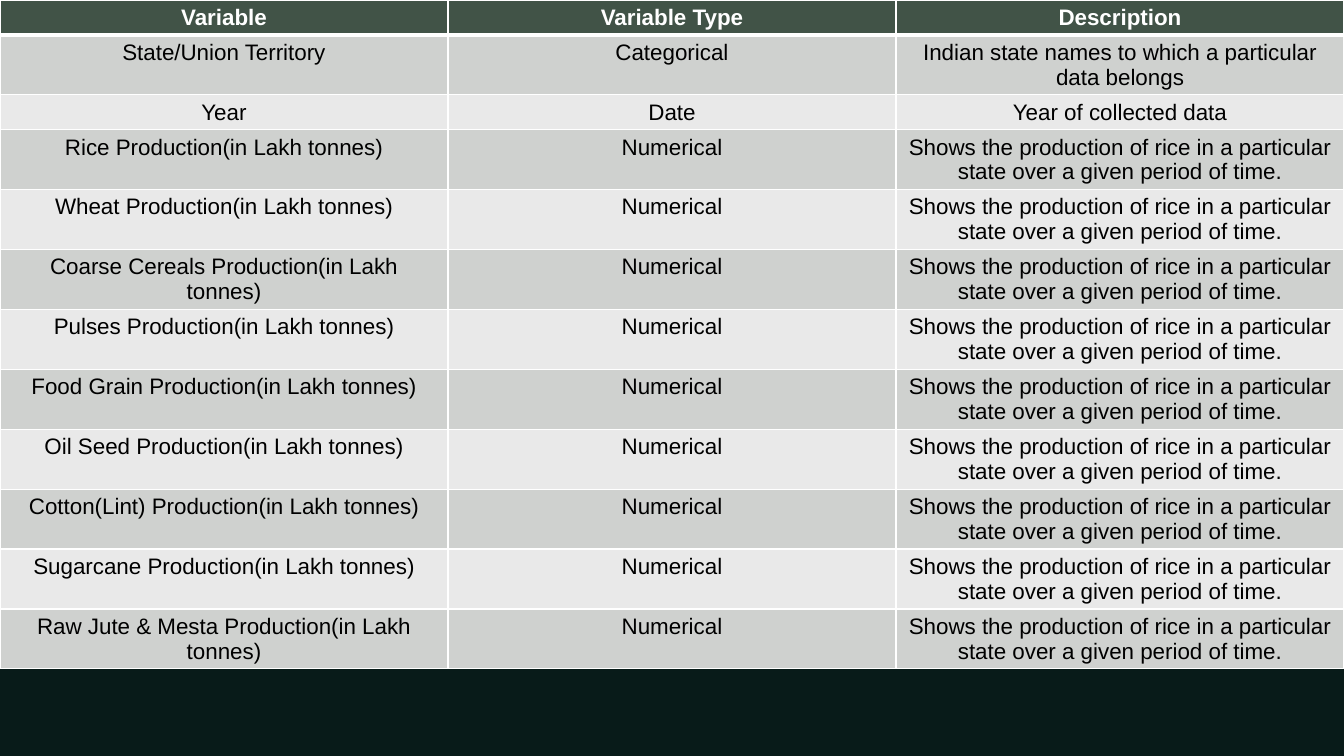
from typing import NamedTuple

import lxml.etree
import pptx
import pptx.dml.color
import pptx.enum.text
import pptx.oxml.ns
import pptx.table
import pptx.util

Inches = pptx.util.Inches
Pt = pptx.util.Pt
RGBColor = pptx.dml.color.RGBColor
qn = pptx.oxml.ns.qn

BACKGROUND = RGBColor(0x08, 0x1B, 0x19)
HEADER_GREEN = RGBColor(0x41, 0x53, 0x47)
BAND_DARK = RGBColor(0xCF, 0xD1, 0xCF)
BAND_LIGHT = RGBColor(0xE9, 0xE9, 0xE9)
WHITE = RGBColor(0xFF, 0xFF, 0xFF)
BLACK = RGBColor(0x00, 0x00, 0x00)

SLIDE_WIDTH = 13.33
SLIDE_HEIGHT = 7.5
TABLE_HEIGHT = 7.07
SHORT_ROW = 0.32
TALL_ROW = 0.55
SHORT_ROW_COUNT = 3
THIN = 1
THICK = 3


class Variable(NamedTuple):
    name: str
    kind: str
    description: str


class RowStyle(NamedTuple):
    fill: RGBColor
    color: RGBColor
    bold: bool
    top: float
    bottom: float


HEADER = Variable("Variable", "Variable Type", "Description")
CROPS = [
    "Rice", "Wheat", "Coarse Cereals", "Pulses", "Food Grain",
    "Oil Seed", "Cotton(Lint)", "Sugarcane", "Raw Jute & Mesta",
]
VARIABLES = [
    Variable("State/Union Territory", "Categorical",
             "Indian state names to which a particular data belongs"),
    Variable("Year", "Date", "Year of collected data"),
] + [
    Variable(f"{crop} Production(in Lakh tonnes)", "Numerical",
             "Shows the production of rice in a particular state "
             "over a given period of time.")
    for crop in CROPS
]


def row_style(index: int) -> RowStyle:
    if index == 0:
        return RowStyle(HEADER_GREEN, WHITE, True, THIN, THICK)
    band = BAND_DARK if index % 2 else BAND_LIGHT
    return RowStyle(band, BLACK, False, THICK if index == 1 else THIN, THIN)


def set_borders(cell: pptx.table._Cell, top: float, bottom: float) -> None:
    """Draw white borders; the side borders are always thin."""
    props = cell._tc.get_or_add_tcPr()
    widths = {"a:lnL": THIN, "a:lnR": THIN, "a:lnT": top, "a:lnB": bottom}
    for position, (tag, width) in enumerate(widths.items()):
        line = lxml.etree.Element(qn(tag), w=str(Pt(width)))
        fill = lxml.etree.SubElement(line, qn("a:solidFill"))
        lxml.etree.SubElement(fill, qn("a:srgbClr"), val=str(WHITE))
        props.insert(position, line)


def fill_cell(cell: pptx.table._Cell, text: str, style: RowStyle) -> None:
    cell.fill.solid()
    cell.fill.fore_color.rgb = style.fill
    set_borders(cell, style.top, style.bottom)
    p = cell.text_frame.paragraphs[0]
    p.alignment = pptx.enum.text.PP_ALIGN.CENTER
    r = p.add_run()
    r.text = text
    r.font.name = "Arial"
    r.font.size = Pt(16)
    r.font.bold = style.bold
    r.font.color.rgb = style.color


def main() -> None:
    prs = pptx.Presentation()
    prs.slide_width = Inches(SLIDE_WIDTH)
    prs.slide_height = Inches(SLIDE_HEIGHT)
    s = prs.slides.add_slide(prs.slide_layouts[6])
    s.background.fill.solid()
    s.background.fill.fore_color.rgb = BACKGROUND

    rows = [HEADER, *VARIABLES]
    frame = s.shapes.add_table(len(rows), len(HEADER), 0, 0,
                               Inches(SLIDE_WIDTH), Inches(TABLE_HEIGHT))
    table = frame.table
    for i, variable in enumerate(rows):
        height = SHORT_ROW if i < SHORT_ROW_COUNT else TALL_ROW
        table.rows[i].height = Inches(height)
        for j, text in enumerate(variable):
            fill_cell(table.cell(i, j), text, row_style(i))
    frame.height = Inches(TABLE_HEIGHT)

    prs.save("out.pptx")


if __name__ == "__main__":
    main()
